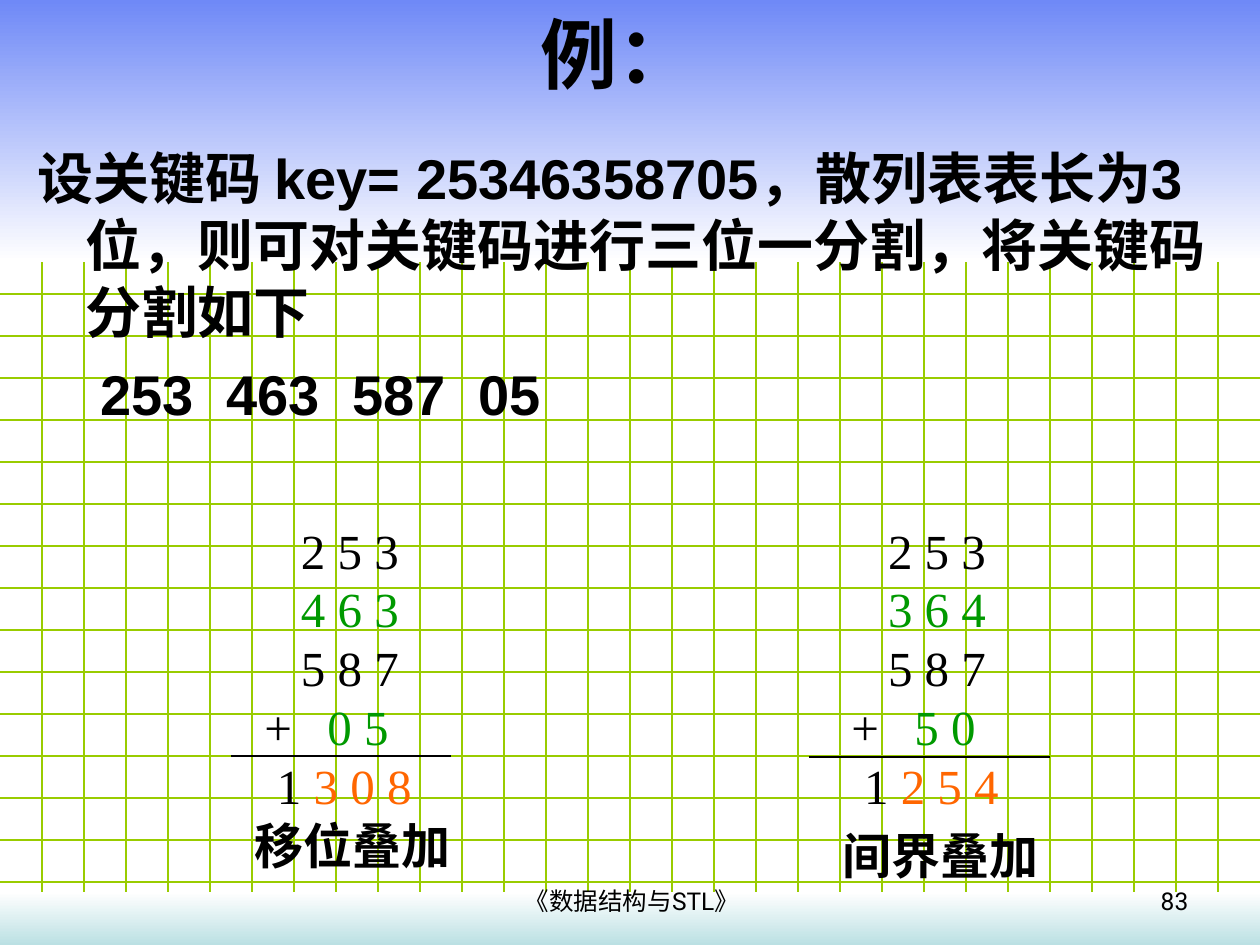
from dataclasses import dataclass

import pptx
import pptx.dml.color
import pptx.enum.shapes
import pptx.enum.text
import pptx.oxml.ns
import pptx.util
from lxml import etree
from pptx.util import Inches, Pt

COLORS = {
    "black": "000000", "white": "FFFFFF", "grid": "99CC00", "sky": "6F89F7",
    "teal": "BBE0E3", "green": "009900", "orange": "FF6600",
}
CJK_FONT = "Noto Sans CJK SC"
WIDTH, HEIGHT, GRID_CELLS_PER_INCH = 10, 7.5, 3
LEFT = pptx.enum.text.PP_ALIGN.LEFT
CENTER = pptx.enum.text.PP_ALIGN.CENTER
RIGHT = pptx.enum.text.PP_ALIGN.RIGHT


@dataclass
class Line:
    """One paragraph: (text, colour) pieces, indents and tab stops in inches."""
    pieces: list[tuple[str, str]]
    margin: float = 0
    hanging: float = 0
    tabs: tuple[float, ...] = ()
    before: float = 0


@dataclass
class Style:
    font: str
    size: float
    bold: bool = False
    align: int = LEFT


@dataclass
class Sum:
    """A column addition with its rule and caption."""
    left: float
    addends: tuple[str, str, str, str]
    total: str
    rule: tuple[float, float, float]
    caption: str
    caption_at: tuple[float, float]


def rgb(name: str) -> pptx.dml.color.RGBColor:
    return pptx.dml.color.RGBColor.from_string(COLORS[name])


def add_line(slide, x1: float, y1: float, x2: float, y2: float, color: str, width: float) -> None:
    line = slide.shapes.add_connector(
        pptx.enum.shapes.MSO_CONNECTOR.STRAIGHT, Inches(x1), Inches(y1), Inches(x2), Inches(y2))
    line.line.color.rgb = rgb(color)
    line.line.width = Pt(width)
    etree.SubElement(line._element.spPr, pptx.oxml.ns.qn("a:effectLst"))


def add_band(slide, top: float, height: float, first: str, last: str) -> None:
    band = slide.shapes.add_shape(
        pptx.enum.shapes.MSO_SHAPE.RECTANGLE, 0, Inches(top), Inches(WIDTH), Inches(height))
    band.shadow.inherit = False
    band.line.fill.background()
    band.fill.gradient()
    band.fill.gradient_angle = 270
    for stop, color in zip(band.fill.gradient_stops, (first, last)):
        stop.color.rgb = rgb(color)


def add_text(slide, at: tuple[float, float, float, float], lines: list[Line], style: Style,
             middle: bool = False, right_inset: float = 0.1) -> None:
    frame = slide.shapes.add_textbox(*map(Inches, at)).text_frame
    frame.word_wrap = True
    frame.margin_right = Inches(right_inset)
    if middle:
        frame.vertical_anchor = pptx.enum.text.MSO_ANCHOR.MIDDLE
    for number, line in enumerate(lines):
        paragraph = frame.add_paragraph() if number else frame.paragraphs[0]
        properties = paragraph._p.get_or_add_pPr()
        properties.set("marL", str(Inches(line.margin)))
        properties.set("indent", str(Inches(-line.hanging)))
        if line.tabs:
            stops = etree.SubElement(properties, pptx.oxml.ns.qn("a:tabLst"))
            for position in line.tabs:
                etree.SubElement(stops, pptx.oxml.ns.qn("a:tab"),
                                 pos=str(Inches(position)), algn="l")
        paragraph.alignment = style.align
        paragraph.line_spacing = Pt(round(style.size * 1.2, 1))
        if line.before:
            paragraph.space_before = Pt(line.before)
        for text, color in line.pieces:
            run = paragraph.add_run()
            run.text = text
            run.font.name = style.font
            run.font.size = Pt(style.size)
            run.font.bold = style.bold
            run.font.color.rgb = rgb(color)
            east_asian = etree.SubElement(run._r.rPr, pptx.oxml.ns.qn("a:ea"))
            east_asian.set("typeface", CJK_FONT)


def add_sum(slide, column: Sum) -> None:
    first, second, third, last = column.addends
    lines = [Line([(digits, color)], margin=0.29)
             for digits, color in ((first, "black"), (second, "green"), (third, "black"))]
    lines.append(Line([("+\t", "black"), (last, "green")], tabs=(0.61,)))
    lines.append(Line([("1 ", "black"), (column.total, "orange")], margin=0.1))
    add_text(slide, (column.left, 4.08, 1.36, 2.44), lines,
             Style("Times New Roman", 28), right_inset=0)
    start, end, y = column.rule
    add_line(slide, start, y, end, y, "black", 1)
    add_text(slide, (*column.caption_at, 1.75, 0.57), [Line([(column.caption, "black")])],
             Style(CJK_FONT, 28, bold=True), right_inset=0)


def main() -> None:
    deck = pptx.Presentation()
    deck.slide_width, deck.slide_height = Inches(WIDTH), Inches(HEIGHT)
    slide = deck.slides.add_slide(deck.slide_layouts[6])

    # Background grid and gradient bands
    for row in range(1, int(HEIGHT * GRID_CELLS_PER_INCH) + 1):
        y = row / GRID_CELLS_PER_INCH
        add_line(slide, 0, y, WIDTH, y, "grid", 0.75)
    for column in range(1, WIDTH * GRID_CELLS_PER_INCH):
        x = column / GRID_CELLS_PER_INCH
        add_line(slide, x, 0, x, HEIGHT, "grid", 0.75)
    add_band(slide, 0, 2.08, "sky", "white")
    add_band(slide, 7.08, 0.42, "white", "teal")

    # Title and problem statement
    add_text(slide, (0, 0, 9.8, 0.84), [Line([("例：", "black")])],
             Style("Arial", 44, bold=True, align=CENTER), middle=True)
    statement = ("设关键码 key= 25346358705，散列表表长为3位，"
                 "则可对关键码进行三位一分割，将关键码分割如下")
    segments = "".join(f"\t{segment}" for segment in ("253", "463", "587", "05"))
    add_text(slide, (0.2, 1.09, 9.53, 5.81), [
        Line([(statement, "black")], margin=0.38, hanging=0.38),
        Line([(segments, "black")], tabs=tuple(1.47 + 0.99 * i for i in range(4)), before=8),
    ], Style("Arial", 32, bold=True))

    # The two folding sums
    for column in (
        Sum(2, ("2 5 3", "4 6 3", "5 8 7", "0 5"), "3 0 8",
            (1.83, 3.58, 6), "移位叠加", (1.92, 6.42)),
        Sum(6.66, ("2 5 3", "3 6 4", "5 8 7", "5 0"), "2 5 4",
            (6.42, 8.33, 6.01), "间界叠加", (6.59, 6.5)),
    ):
        add_sum(slide, column)

    # Footer and page number
    add_text(slide, (3.43, 6.98, 3.17, 0.36), [Line([("《数据结构与STL》", "black")])],
             Style("Roboto", 14, align=CENTER))
    add_text(slide, (7.2, 6.98, 2.33, 0.36), [Line([("83", "black")])],
             Style("Roboto", 14, align=RIGHT))

    deck.save("out.pptx")


if __name__ == "__main__":
    main()
